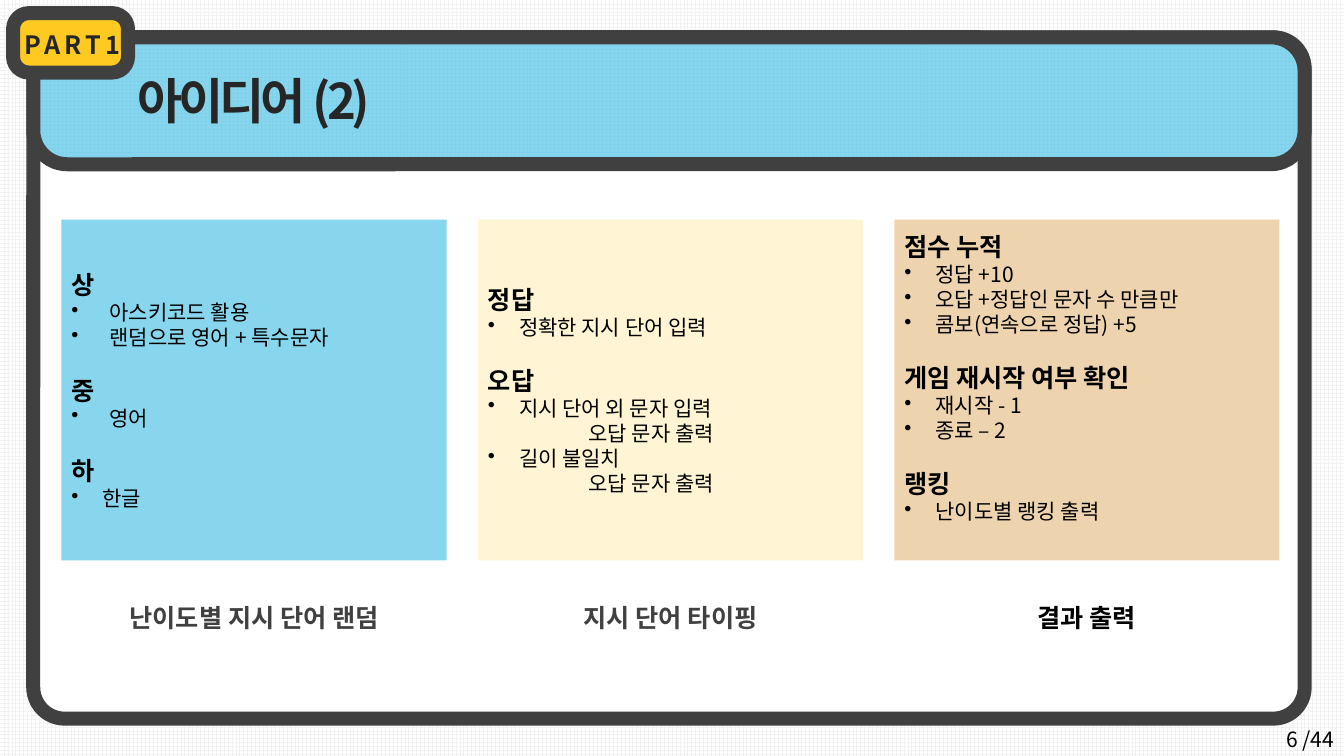
from dataclasses import dataclass

from lxml.etree import SubElement
from pptx import Presentation
from pptx.dml.color import RGBColor
from pptx.enum.dml import MSO_PATTERN
from pptx.enum.shapes import MSO_SHAPE
from pptx.enum.text import MSO_ANCHOR, PP_ALIGN
from pptx.oxml.ns import qn
from pptx.util import Inches, Pt


@dataclass(frozen=True)
class Theme:
    """Colours, font and type sizes of the deck."""
    font: str = "Noto Sans CJK KR"
    black: str = "000000"
    ink: str = "262626"
    frame: str = "404040"
    white: str = "FFFFFF"
    grid: str = "F2F2F2"
    sky: str = "88D6ED"
    sky_grid: str = "80D2EC"
    badge: str = "FECA21"
    cream: str = "FFF4D3"
    tan: str = "EDD3AE"
    title: int = 35
    heading: int = 18
    body: int = 15
    leading: float = 1.2
    border: int = 10


THEME = Theme()
PANEL_WIDTH, PANEL_HEIGHT, PANEL_STEP = 3.82, 3.38, 4.13

PANELS = [
    (THEME.sky, "난이도별 지시 단어 랜덤", THEME.frame, 0.05, [
        ("상", None, 0),
        ("아스키코드 활용", "•", 0.38),
        ("랜덤으로 영어 + 특수문자", "•", 0.38),
        ("중", None, 0),
        ("영어", "•", 0.38),
        ("하", None, 0),
        ("한글", "•", 0.31),
    ]),
    (THEME.cream, "지시 단어 타이핑", THEME.frame, 0.05, [
        ("정답", None, 0),
        ("정확한 지시 단어 입력", "•", 0.31),
        ("오답", None, 0),
        ("지시 단어 외 문자 입력", "•", 0.31),
        ("오답 문자 출력", None, 1),
        ("길이 불일치", "•", 0.31),
        ("오답 문자 출력", None, 1),
    ]),
    (THEME.tan, "결과 출력", THEME.black, 0.3, [
        ("점수 누적", None, 0),
        ("정답 +10", "•", 0.31),
        ("오답 +정답인 문자 수 만큼만", "•", 0.31),
        ("콤보(연속으로 정답) +5", "•", 0.31),
        ("게임 재시작 여부 확인", None, 0),
        ("재시작 - 1", "•", 0.31),
        ("종료 – 2", "•", 0.31),
        ("랭킹", None, 0),
        ("난이도별 랭킹 출력", "•", 0.31),
    ]),
]


def paint_grid(fill, line_color, back_color):
    """Fill with a large grid pattern."""
    fill.patterned()
    fill.pattern = MSO_PATTERN.LARGE_GRID
    fill.fore_color.rgb = RGBColor.from_string(line_color)
    fill.back_color.rgb = RGBColor.from_string(back_color)


def style(paragraph, size, color, bold=False, align=PP_ALIGN.LEFT, tracking=0):
    """Set the type of one paragraph."""
    paragraph.alignment = align
    paragraph.line_spacing = Pt(size * THEME.leading)
    font = paragraph.font
    font.size, font.bold, font.name = Pt(size), bold, THEME.font
    font.color.rgb = RGBColor.from_string(color)
    defaults = paragraph._p.pPr.find(qn("a:defRPr"))
    SubElement(defaults, qn("a:ea")).set("typeface", THEME.font)
    if tracking:
        defaults.set("spc", str(tracking * 100))


def add_label(slide, box, text, size, color, wrap=False, **type_options):
    """Place one line of text in a box."""
    label = slide.shapes.add_textbox(*map(Inches, box))
    label.text_frame.word_wrap = wrap
    paragraph = label.text_frame.paragraphs[0]
    paragraph.text = text
    style(paragraph, size, color, **type_options)


def add_block(slide, kind, box, color=None, corner=None):
    """Place a shape, with a thick border when it has rounded corners."""
    block = slide.shapes.add_shape(kind, *map(Inches, box))
    block.shadow.inherit = False
    if color:
        block.fill.solid()
        block.fill.fore_color.rgb = RGBColor.from_string(color)
    if corner is None:
        block.line.fill.background()
    else:
        block.adjustments[0] = corner
        block.line.color.rgb = RGBColor.from_string(THEME.frame)
        block.line.width = Pt(THEME.border)
    return block


def add_frame(slide, left, top, width, height):
    """Draw the white card with its title band."""
    rounded = MSO_SHAPE.ROUNDED_RECTANGLE
    add_block(slide, rounded, (left, top, width, height), THEME.white, 0.046)
    band = add_block(slide, rounded, (left, top, width, 1.26), corner=0.267)
    paint_grid(band.fill, THEME.sky_grid, THEME.sky)
    add_label(slide, (left + 0.94, top + 0.28, 5.08, 0.69), "아이디어 (2)",
              THEME.title, THEME.ink, wrap=True, bold=True, tracking=-3)


def add_badge(slide, left, top, width, height):
    """Draw the part badge."""
    add_block(slide, MSO_SHAPE.ROUNDED_RECTANGLE, (left, top, width, height),
              THEME.badge, 0.267)
    add_label(slide, (left, top + 0.11, width + 0.04, 0.4), "PART1",
              THEME.heading, THEME.ink, bold=True, align=PP_ALIGN.CENTER,
              tracking=3)


def add_panel(slide, left, top, width, height, panel):
    """Draw one coloured panel with its caption below."""
    color, caption, caption_color, bottom_inset, entries = panel
    card = add_block(slide, MSO_SHAPE.RECTANGLE, (left, top, width, height), color)
    frame = card.text_frame
    frame.word_wrap = True
    frame.vertical_anchor = MSO_ANCHOR.MIDDLE
    frame.margin_bottom = Inches(bottom_inset)
    for index, (text, bullet, indent) in enumerate(entries):
        paragraph = frame.add_paragraph() if index else frame.paragraphs[0]
        paragraph.text = text
        is_heading = indent == 0
        properties = paragraph._p.get_or_add_pPr()
        if indent:
            properties.set("marL", str(Inches(indent)))
        if bullet:
            properties.set("indent", str(-Inches(indent)))
            SubElement(properties, qn("a:buChar")).set("char", bullet)
        if is_heading and index:
            paragraph.space_before = Pt(THEME.body * THEME.leading)
        style(paragraph, THEME.heading if is_heading else THEME.body,
              THEME.black, bold=is_heading)
    add_label(slide, (left, top + height + 0.37, width, 0.4), caption,
              THEME.heading, caption_color, wrap=True, bold=True,
              align=PP_ALIGN.CENTER)


def add_page_number(slide, left, top, width, height):
    """Write the page number and the page total."""
    add_label(slide, (left, top, width, height), "6", THEME.body, THEME.black,
              wrap=True, align=PP_ALIGN.RIGHT)
    add_label(slide, (left + width - 0.15, top, 0.52, height), "/44",
              THEME.body, THEME.black)


def main():
    """Build the slide."""
    deck = Presentation()
    deck.slide_width, deck.slide_height = Inches(13.33), Inches(7.5)
    slide = deck.slides.add_slide(deck.slide_layouts[6])
    paint_grid(slide.background.fill, THEME.grid, THEME.white)
    add_frame(slide, 0.33, 0.37, 12.61, 6.76)
    add_badge(slide, 0.13, 0.13, 1.14, 0.59)
    for column, panel in enumerate(PANELS):
        add_panel(slide, 0.61 + column * PANEL_STEP, 2.18,
                  PANEL_WIDTH, PANEL_HEIGHT, panel)
    add_page_number(slide, 9.97, 7.16, 3, 0.35)
    deck.save("out.pptx")


if __name__ == "__main__":
    main()
